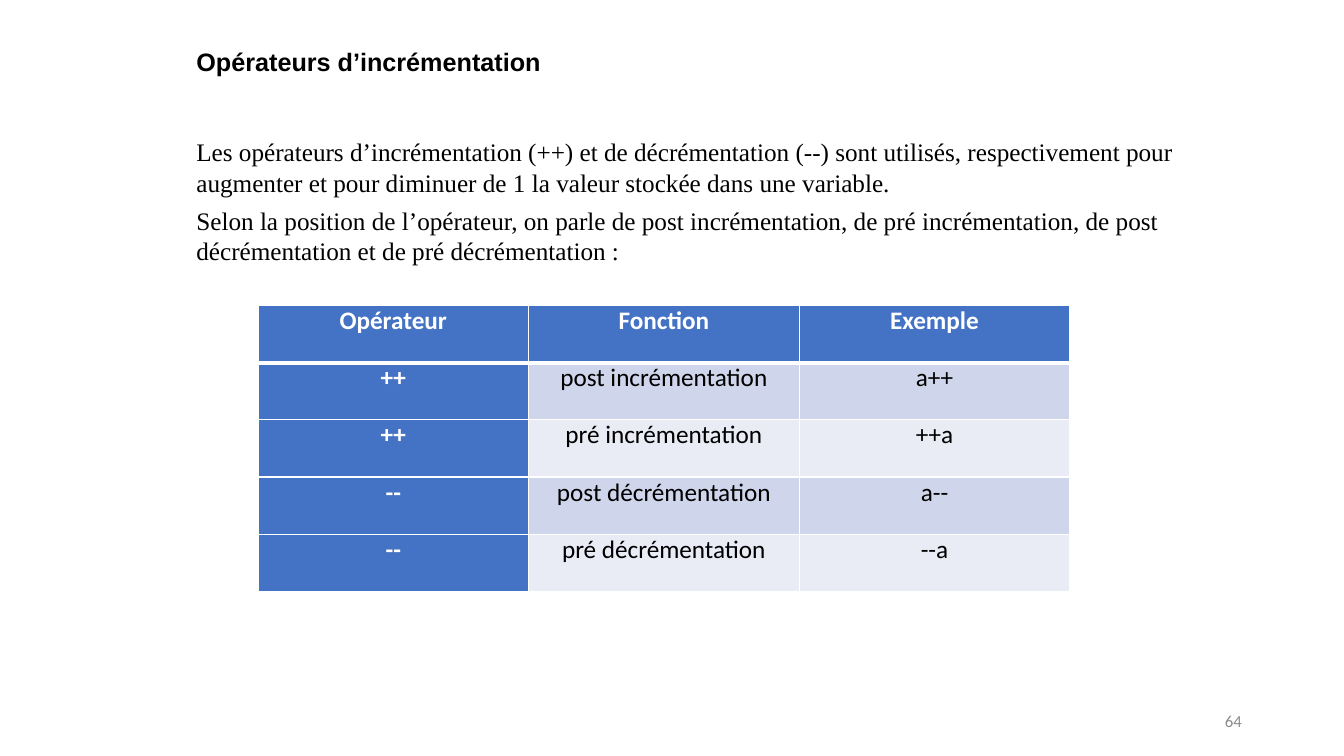
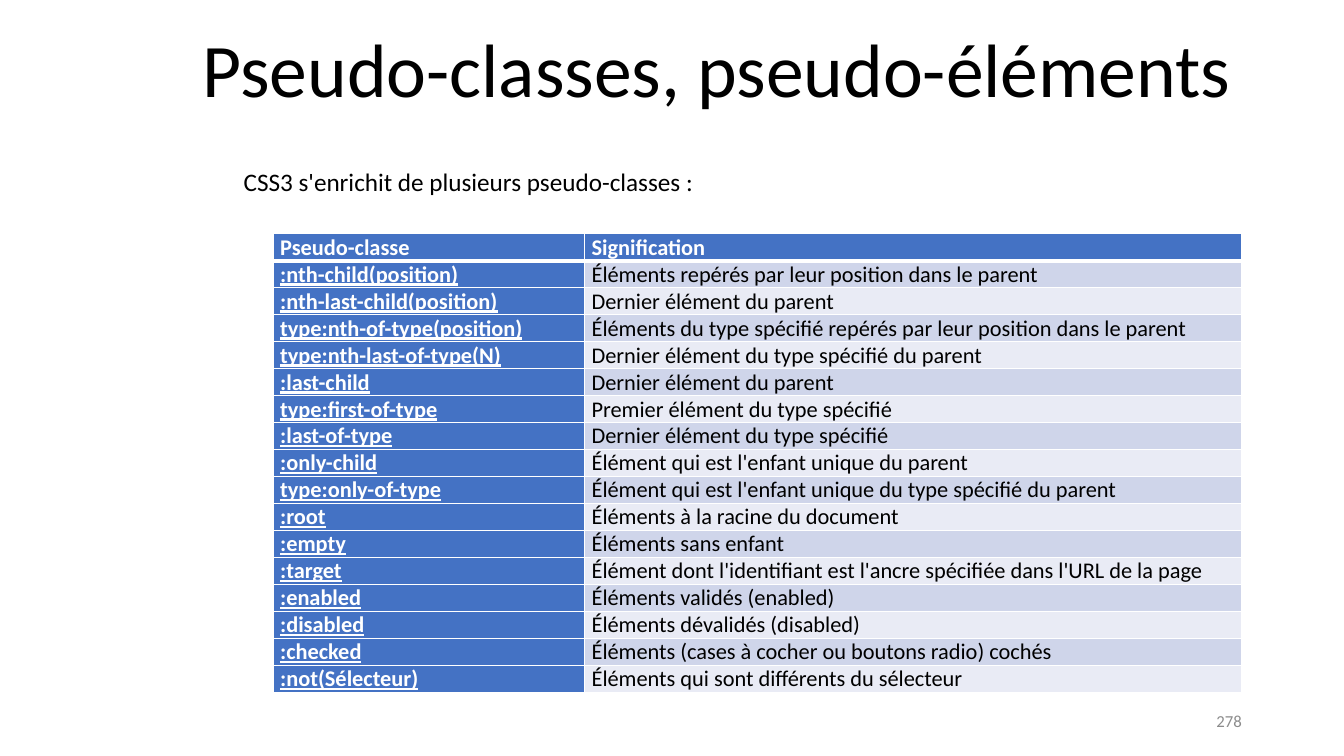
from lxml import etree
from pptx import Presentation
from pptx.dml.color import RGBColor
from pptx.enum.text import MSO_ANCHOR as Anchor, PP_ALIGN as Align
from pptx.oxml.ns import qn
from pptx.util import Cm, Pt

COLOURS = {
    "text": "000000",
    "header": "4472C4",
    "header text": "FFFFFF",
    "odd row": "CFD5EA",
    "even row": "E9EBF5",
    "border": "FFFFFF",
    "number": "8C8C8C",
}


def write(frame, text, size=18, font="Calibri", colour="text", bold=False,
          underline=False, align=Align.LEFT, before=0, after=0):
    """Put one formatted paragraph in the frame, after any text already there."""
    paragraph = frame.add_paragraph() if frame.text else frame.paragraphs[0]
    paragraph.alignment = align
    paragraph.space_before, paragraph.space_after = Pt(before), Pt(after)
    run = paragraph.add_run()
    run.text = text
    run.font.size, run.font.name = Pt(size), font
    run.font.bold, run.font.underline = bold, underline
    run.font.color.rgb = RGBColor.from_string(COLOURS[colour])


def add_grid(slide, rows, left, top, widths, row_height, underline_keys=False, **text_format):
    """Add a table with a blue header row and key column, and banded rows."""
    table = slide.shapes.add_table(len(rows), len(widths), Cm(left), Cm(top),
                                   Cm(sum(widths)), Cm(row_height * len(rows))).table
    for column, width in zip(table.columns, widths):
        column.width = Cm(width)
    for r, row in enumerate(rows):
        table.rows[r].height = Cm(row_height)
        for c, text in enumerate(row):
            cell = table.cell(r, c)
            cell.margin_left = cell.margin_right = Cm(0.18)
            cell.margin_top = cell.margin_bottom = 0
            thick_side = {0: "lnB", 1: "lnT"}.get(r)
            for side in ("lnL", "lnR", "lnT", "lnB"):
                width = Pt(3 if side == thick_side else 1)
                line = etree.SubElement(cell._tc.get_or_add_tcPr(), qn(f"a:{side}"), w=str(width))
                fill = etree.SubElement(line, qn("a:solidFill"))
                etree.SubElement(fill, qn("a:srgbClr"), val=COLOURS["border"])
            is_header = r == 0 or c == 0
            band = "header" if is_header else "odd row" if r % 2 else "even row"
            cell.fill.solid()
            cell.fill.fore_color.rgb = RGBColor.from_string(COLOURS[band])
            write(cell.text_frame, text, bold=is_header,
                  colour="header text" if is_header else "text",
                  underline=underline_keys and c == 0 and r > 0, **text_format)


operators = [
    ("Opérateur", "Fonction", "Exemple"),
    ("++", "post incrémentation", "a++"),
    ("++", "pré incrémentation", "++a"),
    ("--", "post décrémentation", "a--"),
    ("--", "pré décrémentation", "--a"),
]
pseudo_classes = [
    ("Pseudo-classe", "Signification"),
    (":nth-child(position)", "Éléments repérés par leur position dans le parent"),
    (":nth-last-child(position)", "Dernier élément du parent"),
    ("type:nth-of-type(position)",
     "Éléments du type spécifié repérés par leur position dans le parent"),
    ("type:nth-last-of-type(N)", "Dernier élément du type spécifié du parent"),
    (":last-child", "Dernier élément du parent"),
    ("type:first-of-type", "Premier élément du type spécifié"),
    (":last-of-type", "Dernier élément du type spécifié"),
    (":only-child", "Élément qui est l'enfant unique du parent"),
    ("type:only-of-type", "Élément qui est l'enfant unique du type spécifié du parent"),
    (":root", "Éléments à la racine du document"),
    (":empty", "Éléments sans enfant"),
    (":target", "Élément dont l'identifiant est l'ancre spécifiée dans l'URL de la page"),
    (":enabled", "Éléments validés (enabled)"),
    (":disabled", "Éléments dévalidés (disabled)"),
    (":checked", "Éléments (cases à cocher ou boutons radio) cochés"),
    (":not(Sélecteur)", "Éléments qui sont différents du sélecteur"),
]

deck = Presentation()
deck.slide_width, deck.slide_height = Cm(33.87), Cm(19.05)
blank = deck.slide_layouts[6]
increment_slide = deck.slides.add_slide(blank)
pseudo_slide = deck.slides.add_slide(blank)

add_grid(increment_slide, operators, left=6.5, top=7.7, widths=[6.82] * 3,
         row_height=1.44, align=Align.CENTER)
add_grid(pseudo_slide, pseudo_classes, left=6.88, top=5.89, widths=[7.85, 16.56],
         row_height=0.68, underline_keys=True, size=16)

body = {"font": "Times New Roman", "before": 3, "after": 3}
number = {"size": 12, "colour": "number", "align": Align.RIGHT}
number_place = (23.93, 17.65, 7.62, 1.02)
text_blocks = [
    (increment_slide, (4.7, 1.04, 25.68, 5.84), Anchor.TOP, [
        ("Opérateurs d’incrémentation", {"font": "Arial", "bold": True, "after": 40}),
        ("Les opérateurs d’incrémentation (++) et de décrémentation (--) sont utilisés, "
         "respectivement pour augmenter et pour diminuer de 1 la valeur stockée dans "
         "une variable.", body),
        ("Selon la position de l’opérateur, on parle de post incrémentation, de pré "
         "incrémentation, de post décrémentation et de pré décrémentation :", body),
    ]),
    (increment_slide, number_place, Anchor.MIDDLE, [("64", number)]),
    (pseudo_slide, (4.85, 0.43, 28.5, 2.57), Anchor.TOP,
     [("Pseudo-classes, pseudo-éléments", {"size": 54})]),
    (pseudo_slide, (5.89, 4.06, 16.97, 1.02), Anchor.TOP,
     [("CSS3 s'enrichit de plusieurs pseudo-classes :", {})]),
    (pseudo_slide, number_place, Anchor.MIDDLE, [("278", number)]),
]
for slide, place, anchor, paragraphs in text_blocks:
    frame = slide.shapes.add_textbox(*map(Cm, place)).text_frame
    frame.word_wrap = True
    frame.vertical_anchor = anchor
    for text, text_format in paragraphs:
        write(frame, text, **text_format)

deck.save("out.pptx")
